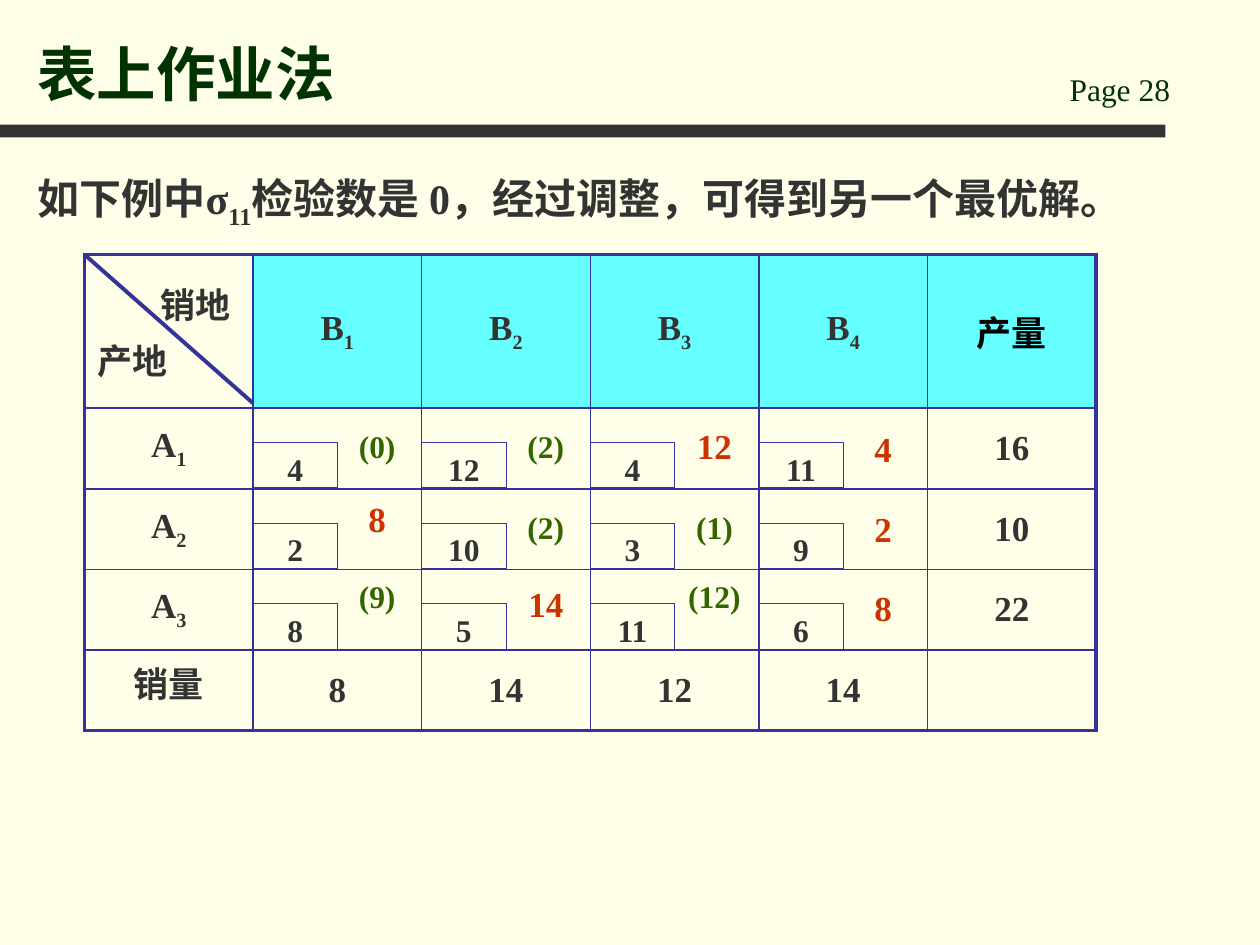
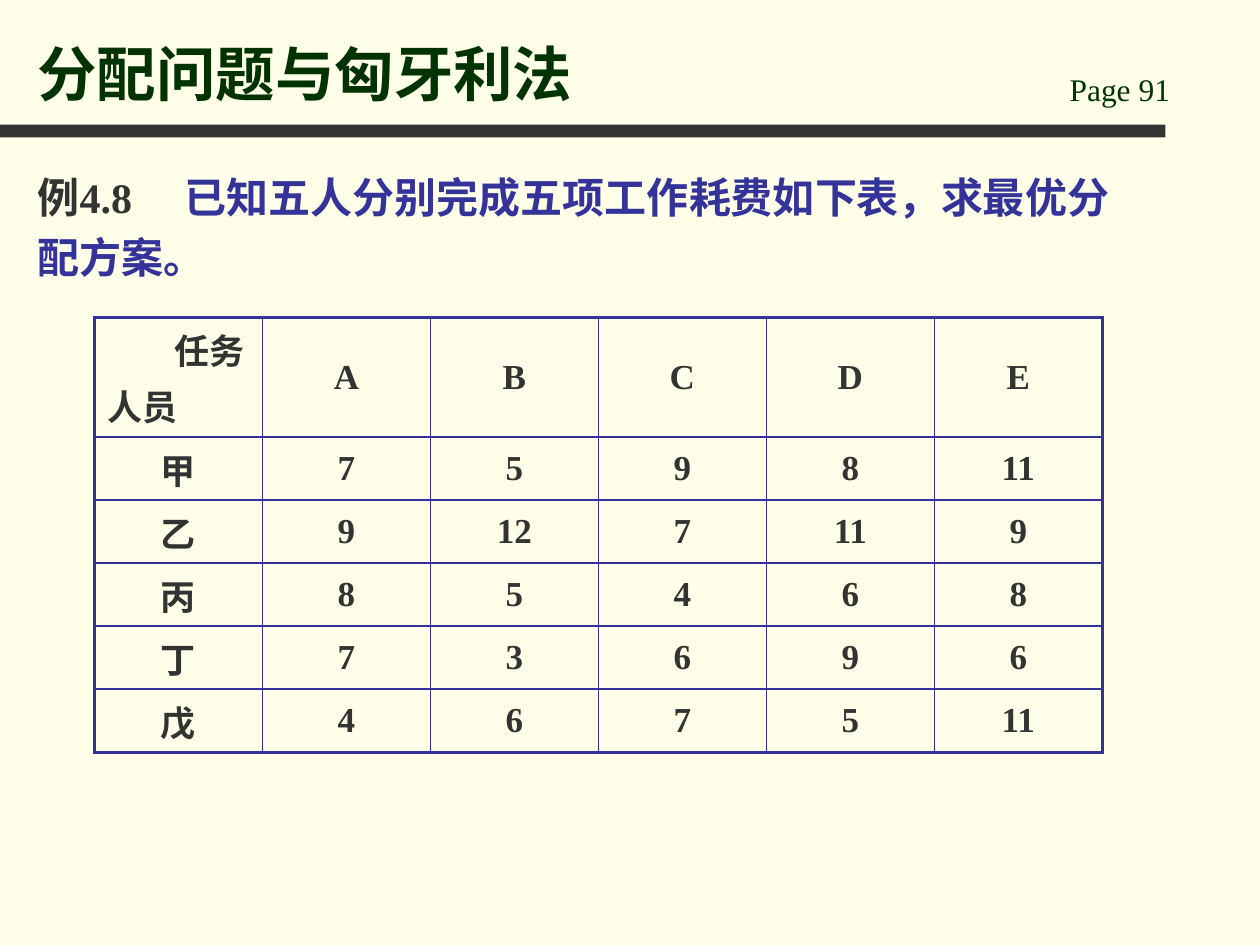
import pptx
import pptx.dml.color
import pptx.enum.shapes
import pptx.enum.text
import pptx.oxml
import pptx.oxml.ns
import pptx.util

Inches = pptx.util.Inches
Pt = pptx.util.Pt
ALIGN = pptx.enum.text.PP_ALIGN
ANCHOR = pptx.enum.text.MSO_ANCHOR

# Shared colours and formats
PAPER, INK, DARK = "FFFFE9", "333333", "003300"
BLUE, CYAN, GREEN, RED = "333399", "66FFFF", "336600", "CC3300"
FACE = "Times New Roman"
TITLE = {"size": Pt(34), "bold": True, "name": FACE}
PAGE = {"size": Pt(18), "name": FACE}
LEAD = {"size": Pt(24), "bold": True, "name": FACE}
CELL = {"size": Pt(20), "bold": True, "name": FACE}
COST = {"size": Pt(18), "bold": True, "name": FACE}
LOOSE = {"line_spacing": 1.2}
MID = {"alignment": ALIGN.CENTER}
RIGHT = {"alignment": ALIGN.RIGHT}
NSDECL = pptx.oxml.ns.nsdecls("a")


def tint(code):
    return pptx.dml.color.RGBColor.from_string(code)


def apply(thing, form):
    for key, value in form.items():
        setattr(thing, key, value)


def write(para, text, font, color=INK, form=LOOSE):
    """Add text; every second part between underscores is a subscript."""
    apply(para, form)
    for i, part in enumerate(text.split("_")):
        if not part:
            continue
        run = para.add_run()
        run.text = part
        apply(run.font, font)
        run.font.color.rgb = tint(color)
        if i % 2:
            run._r.get_or_add_rPr().set("baseline", "-25000")


def label(slide, box, text, font, color=INK, form=LOOSE, wrap=True,
          anchor=ANCHOR.TOP):
    shape = slide.shapes.add_textbox(*map(Inches, box))
    frame = shape.text_frame
    apply(frame, {"word_wrap": wrap, "vertical_anchor": anchor})
    write(frame.paragraphs[0], text, font, color, form)
    return frame.paragraphs[0]


def block(slide, box):
    shape = slide.shapes.add_shape(
        pptx.enum.shapes.MSO_SHAPE.RECTANGLE, *map(Inches, box))
    shape.shadow.inherit = False
    return shape


def start(pres, title, page):
    """New slide with title, page number and dark band."""
    slide = pres.slides.add_slide(pres.slide_layouts[6])
    band = block(slide, (0, 0.99, 9.25, 0.1))
    band.fill.solid()
    band.fill.fore_color.rgb = tint(INK)
    band.line.fill.background()
    label(slide, (8.39, 0.51, 1.42, 0.4), f"Page {page}", PAGE, DARK, {})
    label(slide, (0.2, 0.13, 8.03, 0.78), title, TITLE, DARK, {},
          anchor=ANCHOR.BOTTOM)
    return slide


def edge(cell, side, width):
    props = cell._tc.get_or_add_tcPr()
    props.append(pptx.oxml.parse_xml(
        f'<a:ln{side} {NSDECL} w="{Pt(width)}">'
        f'<a:solidFill><a:srgbClr val="{BLUE}"/></a:solidFill></a:ln{side}>'))


def grid(slide, box, head, row, inset, data):
    """Table with heavy outer border; the first cell holds two headings."""
    x, y, w, h = box
    rows, cols = len(data), len(data[0])
    table = slide.shapes.add_table(rows, cols, *map(Inches, box)).table
    apply(table, {"first_row": False, "horz_banding": False})
    for col in table.columns:
        col.width = Inches(w / cols)
    for r, line in enumerate(data):
        table.rows[r].height = Inches(row if r else head)
        for c, text in enumerate(line):
            cell = table.cell(r, c)
            cell.vertical_anchor = ANCHOR.MIDDLE
            outer = {"L": c == 0, "R": c == cols - 1,
                     "T": r == 0, "B": r == rows - 1}
            for side, heavy in outer.items():
                edge(cell, side, 2.25 if heavy else 1)
            cell.fill.background()
            if r or c:
                write(cell.text_frame.paragraphs[0], text, CELL, form=MID)
    # Corner headings
    cell = table.cell(0, 0)
    cell.margin_right = Inches(inset)
    top, low = data[0][0]
    write(cell.text_frame.paragraphs[0], top, CELL, form=RIGHT)
    para = cell.text_frame.add_paragraph()
    write(para, low, CELL, form={"space_before": Pt(3)})
    return table


def slash(slide, box):
    x, y, w, h = box
    line = slide.shapes.add_connector(
        pptx.enum.shapes.MSO_CONNECTOR.STRAIGHT,
        *map(Inches, (x, y, x + w, y + h)))
    line.line.color.rgb = tint(BLUE)
    line.line.width = Pt(2.25)
    line._element.spPr.append(pptx.oxml.parse_xml(
        f'<a:effectLst {NSDECL}/>'))


def route(slide, box, cost, mark, drop):
    """Boxed unit cost at lower left, amount or check number at right."""
    x, y, w, h = box
    shape = block(slide, (x, y + h - 0.37, w / 2, 0.36))
    shape.fill.background()
    shape.line.color.rgb = tint(BLUE)
    shape.line.width = Pt(0.25)
    frame = shape.text_frame
    apply(frame, {"margin_left": 0, "margin_right": 0, "margin_top": 0,
                  "margin_bottom": 0, "word_wrap": True,
                  "vertical_anchor": ANCHOR.MIDDLE})
    write(frame.paragraphs[0], str(cost), COST, form=MID | LOOSE)
    check = mark.startswith("(")
    label(slide, (x + 0.63, y + drop, 0.71, 0.46 if check else 0.5), mark,
          COST if check else CELL, GREEN if check else RED, MID | LOOSE)


def ship(pres):
    """Transport table with costs, amounts and check numbers."""
    slide = start(pres, "表上作业法", 28)
    box = x, y, w, h = 0.67, 2.02, 8.03, 3.78
    head, row, col = 1.22, 0.64, w / 6
    gap = [""] * 4
    table = grid(slide, box, head, row, 0.18, [
        [("销地", "产地"), "B_1", "B_2", "B_3", "B_4", "产量"],
        ["A_1", *gap, "16"],
        ["A_2", *gap, "10"],
        ["A_3", *gap, "22"],
        ["销量", "8", "14", "12", "14", ""]])
    for c in range(1, 6):
        fill = table.cell(0, c).fill
        fill.solid()
        fill.fore_color.rgb = tint(CYAN)
    run = table.cell(0, 5).text_frame.paragraphs[0].runs[0]
    run.font.color.rgb = tint("000000")
    table.cell(4, 0).vertical_anchor = ANCHOR.TOP
    slash(slide, (x, y, col, 1.18))
    # Cost, mark and offset of the mark from the top of its row
    routes = [
        [(4, "(0)", 0.04), (12, "(2)", 0.04), (4, "12", 0.01), (11, "4", 0.04)],
        [(2, "8", -0.05), (10, "(2)", 0.04), (3, "(1)", 0.04), (9, "2", 0.03)],
        [(8, "(9)", -0.05), (5, "14", -0.01), (11, "(12)", -0.05),
         (6, "8", 0.02)]]
    for r, line in enumerate(routes):
        for c, item in enumerate(line):
            place = (x + (c + 1) * col, y + head + r * row, col, row)
            route(slide, place, *item)
    label(slide, (0.2, 1.23, 8.98, 0.58),
          "如下例中σ_11_检验数是 0，经过调整，可得到另一个最优解。",
          LEAD, wrap=False)


def assign(pres):
    """Cost table of five people and five tasks."""
    slide = start(pres, "分配问题与匈牙利法", 91)
    para = label(slide, (0.2, 1.23, 8.9, 1.1), "例4.8\t", LEAD)
    # Tab stop where the question begins
    para._p.get_or_add_pPr().append(pptx.oxml.parse_xml(
        f'<a:tabLst {NSDECL}><a:tab pos="{Inches(1.17)}" algn="l"/>'
        '</a:tabLst>'))
    write(para, "已知五人分别完成五项工作耗费如下表，求最优分配方案。",
          LEAD, BLUE)
    costs = {"甲": (7, 5, 9, 8, 11), "乙": (9, 12, 7, 11, 9),
             "丙": (8, 5, 4, 6, 8), "丁": (7, 3, 6, 9, 6),
             "戊": (4, 6, 7, 5, 11)}
    grid(slide, (0.75, 2.52, 8, 3.45), 0.95, 0.5, 0.14,
         [[("任务", "人员"), *"ABCDE"]]
         + [[name, *map(str, line)] for name, line in costs.items()])


def main():
    pres = pptx.Presentation()
    pres.slide_width, pres.slide_height = Inches(10), Inches(7.5)
    back = pres.slide_master.background.fill
    back.solid()
    back.fore_color.rgb = tint(PAPER)
    ship(pres)
    assign(pres)
    pres.save("out.pptx")


if __name__ == "__main__":
    main()
